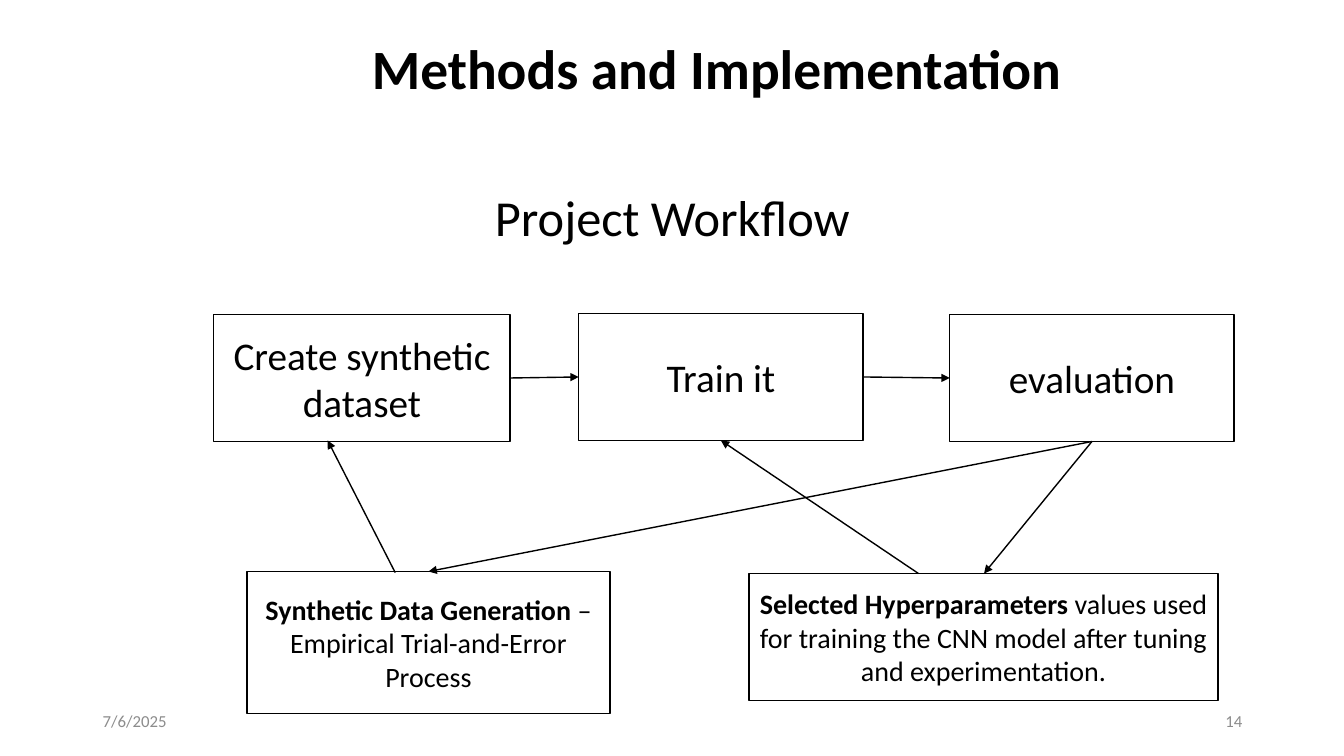
from dataclasses import dataclass

import lxml.etree
import pptx
import pptx.dml.color
import pptx.enum.shapes
import pptx.enum.text
import pptx.oxml.ns
import pptx.util

Inches = pptx.util.Inches
Align = pptx.enum.text.PP_ALIGN
Anchor = pptx.enum.text.MSO_ANCHOR

FONT = "Calibri"
COLORS = {"ink": "000000", "paper": "FFFFFF", "footer": "8C8C8C"}


@dataclass(frozen=True)
class Label:
    left: float
    top: float
    width: float
    height: float
    text: str
    size: float
    align: Align = Align.LEFT
    color: str = "ink"
    bold: bool = False
    line_spacing: float = 1.0
    anchor: Anchor = Anchor.MIDDLE
    inset_top: float = 0.05


@dataclass(frozen=True)
class Step:
    left: float
    top: float
    width: float
    height: float
    text: str
    size: float
    lead: str = ""


@dataclass(frozen=True)
class Arrow:
    start: tuple[float, float]
    end: tuple[float, float]


LABELS = [
    Label(3.59, 0.39, 7.33, 0.63, "Methods and Implementation", 39.6,
          bold=True, line_spacing=0.9),
    Label(0.92, 1.17, 11.5, 5.59, "Project Workflow", 36, Align.CENTER,
          line_spacing=0.9, anchor=Anchor.TOP, inset_top=0.74),
    Label(0.92, 6.95, 3, 0.4, "7/6/2025", 12, color="footer"),
    Label(9.42, 6.95, 3, 0.4, "14", 12, Align.RIGHT, "footer"),
]

STEPS = [
    Step(2.12, 3.12, 2.94, 1.26, "Create synthetic dataset", 28),
    Step(5.74, 3.11, 2.82, 1.26, "Train it", 28),
    Step(9.42, 3.12, 2.82, 1.26, "evaluation", 28),
    Step(7.43, 5.69, 4.65, 1.26,
         "values used for training the CNN model after tuning and experimentation.",
         20, "Selected Hyperparameters "),
    Step(2.45, 5.67, 3.6, 1.41, "– Empirical Trial-and-Error Process",
         20, "Synthetic Data Generation "),
]

ARROWS = [
    Arrow((5.05, 3.75), (5.74, 3.74)),
    Arrow((8.56, 3.74), (9.42, 3.75)),
    Arrow((10.83, 4.38), (9.76, 5.69)),
    Arrow((9.11, 5.69), (7.15, 4.37)),
    Arrow((10.83, 4.38), (4.25, 5.67)),
    Arrow((3.92, 5.68), (3.25, 4.37)),
]


def rgb(name: str) -> pptx.dml.color.RGBColor:
    return pptx.dml.color.RGBColor.from_string(COLORS[name])


def format_span(span, size: float, color: str = "ink", bold: bool = False) -> None:
    span.font.name = FONT
    span.font.size = pptx.util.Pt(size)
    span.font.bold = bold
    span.font.color.rgb = rgb(color)


def draw_label(page, label: Label) -> None:
    box = page.shapes.add_textbox(Inches(label.left), Inches(label.top),
                                  Inches(label.width), Inches(label.height))
    frame = box.text_frame
    frame.word_wrap = True
    frame.vertical_anchor = label.anchor
    frame.margin_top = Inches(label.inset_top)
    frame.text = label.text
    para = frame.paragraphs[0]
    para.alignment = label.align
    para.line_spacing = label.line_spacing
    format_span(para.runs[0], label.size, label.color, label.bold)


def draw_step(page, step: Step) -> None:
    box = page.shapes.add_shape(pptx.enum.shapes.MSO_SHAPE.RECTANGLE,
                                Inches(step.left), Inches(step.top),
                                Inches(step.width), Inches(step.height))
    box.shadow.inherit = False
    box.fill.solid()
    box.fill.fore_color.rgb = rgb("paper")
    box.line.color.rgb = rgb("ink")
    box.line.width = pptx.util.Pt(1)
    frame = box.text_frame
    frame.word_wrap = True
    frame.vertical_anchor = Anchor.MIDDLE
    frame.text = step.lead or step.text
    para = frame.paragraphs[0]
    para.alignment = Align.CENTER
    format_span(para.runs[0], step.size, bold=bool(step.lead))
    if step.lead:
        span = para.add_run()
        span.text = step.text
        format_span(span, step.size)


def draw_arrow(page, arrow: Arrow) -> None:
    line = page.shapes.add_connector(pptx.enum.shapes.MSO_CONNECTOR.STRAIGHT,
                                     *map(Inches, arrow.start + arrow.end))
    line.line.color.rgb = rgb("ink")
    line.line.width = pptx.util.Pt(1)
    # Arrowhead at the end, and no shadow
    qn = pptx.oxml.ns.qn
    properties = line._element.spPr
    lxml.etree.SubElement(properties.find(qn("a:ln")), qn("a:tailEnd"), type="triangle")
    lxml.etree.SubElement(properties, qn("a:effectLst"))


def main() -> None:
    deck = pptx.Presentation()
    deck.slide_width = Inches(13.33)
    deck.slide_height = Inches(7.5)
    page = deck.slides.add_slide(deck.slide_layouts[6])

    # Title, subtitle and footer
    for label in LABELS:
        draw_label(page, label)

    # Workflow
    for step in STEPS:
        draw_step(page, step)
    for arrow in ARROWS:
        draw_arrow(page, arrow)

    deck.save("out.pptx")


if __name__ == "__main__":
    main()
